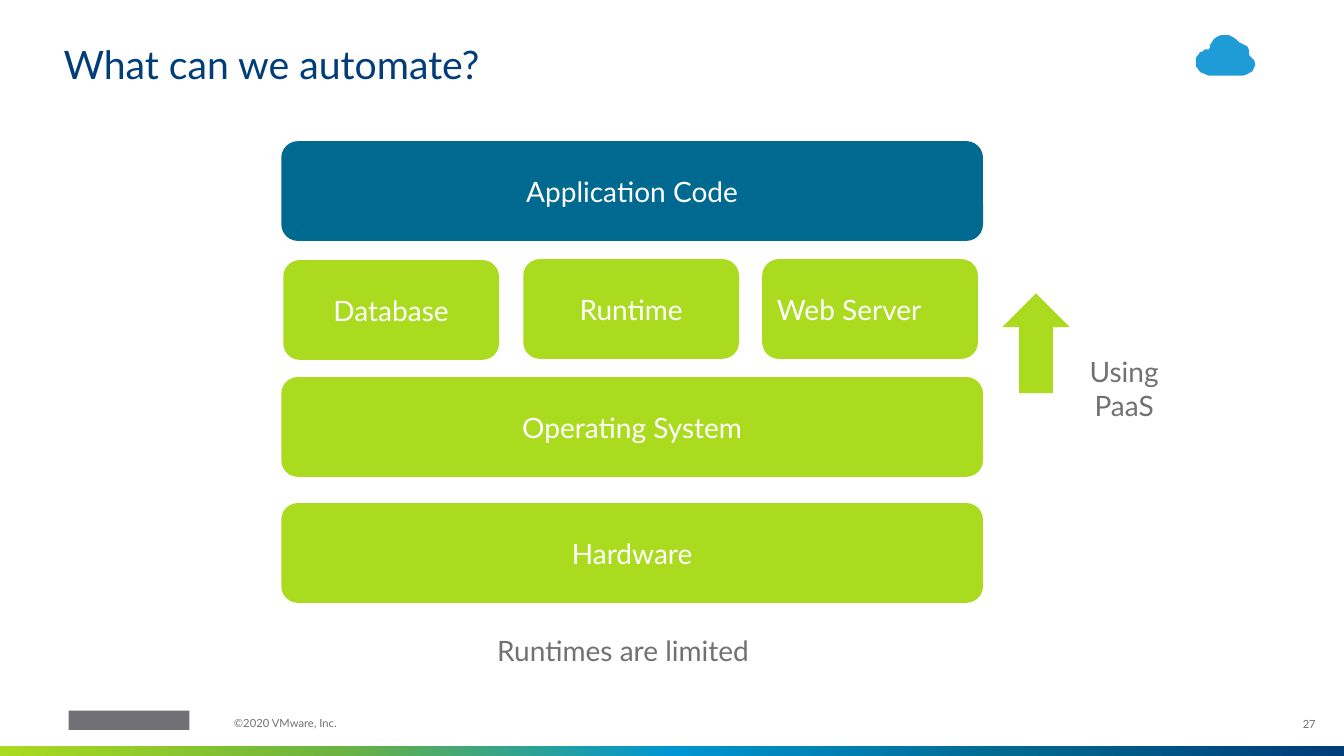
from dataclasses import dataclass

from lxml import etree
from pptx import Presentation
from pptx.dml.color import RGBColor
from pptx.enum.shapes import MSO_SHAPE as Shape
from pptx.enum.text import MSO_ANCHOR as Anchor, PP_ALIGN as Align
from pptx.oxml.ns import qn
from pptx.util import Inches, Pt

NAVY = RGBColor(0x00, 0x3D, 0x79)
TEAL = RGBColor(0x00, 0x69, 0x90)
BLUE = RGBColor(0x00, 0x95, 0xD3)
SKY = RGBColor(0x1F, 0x9B, 0xD8)
GREEN = RGBColor(0x6D, 0xB3, 0x3F)
LIME = RGBColor(0xAA, 0xDB, 0x1E)
GRAY = RGBColor(0x71, 0x70, 0x74)
WHITE = RGBColor(0xFF, 0xFF, 0xFF)
FONT = "Lato"
HIGH = 0.99  # height of every block and of the arrow


@dataclass
class Block:
    text: str
    left: float
    top: float
    width: float
    color: RGBColor = LIME
    align: Align = Align.CENTER


@dataclass
class Label:
    text: str
    left: float
    top: float
    width: float
    height: float
    size: int = 20
    align: Align = Align.CENTER
    anchor: Anchor = Anchor.TOP
    pad: tuple[float, float] = (0.1, 0.05)
    space: float = 1.0


def write(shape, text: str, size: int, color: RGBColor, align: Align,
          anchor: Anchor, pad: tuple[float, float], space: float = 1.0) -> None:
    frame = shape.text_frame
    frame.text = text
    frame.word_wrap = True
    frame.vertical_anchor = anchor
    frame.margin_left = frame.margin_right = Inches(pad[0])
    frame.margin_top = frame.margin_bottom = Inches(pad[1])
    para = frame.paragraphs[0]
    para.alignment = align
    para.line_spacing = space
    font = para.runs[0].font
    font.name, font.size, font.color.rgb = FONT, Pt(size), color


def paint(shape, color: RGBColor) -> None:
    shape.shadow.inherit = False
    shape.fill.solid()
    shape.fill.fore_color.rgb = color
    shape.line.fill.background()


def add_form(shapes, kind: Shape, left: float, top: float, width: float,
             height: float, color: RGBColor):
    form = shapes.add_shape(kind, Inches(left), Inches(top),
                            Inches(width), Inches(height))
    paint(form, color)
    return form


def add_block(shapes, block: Block) -> None:
    form = add_form(shapes, Shape.ROUNDED_RECTANGLE, block.left, block.top,
                    block.width, HIGH, block.color)
    form.adjustments[0] = 0.167
    write(form, block.text, 20, WHITE, block.align, Anchor.MIDDLE, (0.1, 0.1))


def add_label(shapes, label: Label) -> None:
    box = shapes.add_textbox(Inches(label.left), Inches(label.top),
                             Inches(label.width), Inches(label.height))
    write(box, label.text, label.size, GRAY, label.align, label.anchor,
          label.pad, label.space)


def blend(shape, colors: list[RGBColor]) -> None:
    """Fill the shape with evenly spaced colours from left to right."""
    shape.fill.gradient()
    shape.fill.gradient_angle = 0
    stops = shape._element.spPr.find(qn("a:gradFill")).find(qn("a:gsLst"))
    for stop in list(stops):
        stops.remove(stop)
    for i, color in enumerate(colors):
        pos = i * 100000 // (len(colors) - 1)
        stop = etree.SubElement(stops, qn("a:gs"), pos=str(pos))
        etree.SubElement(stop, qn("a:srgbClr"), val=str(color))


ROW = 2.57
BLOCKS = [
    Block("Application Code", 2.79, 1.4, 6.96, TEAL),
    Block("Database", 2.81, ROW + 0.01, 2.14),
    Block("Runtime", 5.19, ROW, 2.14),
    Block("Web Server", 7.56, ROW, 2.14, align=Align.LEFT),
    Block("Operating System", 2.79, 3.74, 6.96),
    Block("Hardware", 2.79, 4.99, 6.96),
]
LABELS = [
    Label("27", 12.57, 6.99, 0.48, 0.4, 8, Align.RIGHT, Anchor.MIDDLE,
          (0, 0), 0.9),
    Label("©2020 VMware, Inc.", 2.32, 7.12, 2.15, 0.16, 8, Align.LEFT,
          pad=(0, 0), space=0.9),
    Label("Runtimes are limited", 1.12, 6.24, 10.12, 0.67),
    Label("Using PaaS", 10.38, 3.47, 1.54, HIGH),
]
# Cloud outline in hundredths of an inch
CLOUD = [
    (1239, 55), (1239, 50), (1238, 48), (1237, 46), (1235, 45), (1233, 44),
    (1231, 43), (1229, 42), (1228, 41), (1226, 39), (1223, 37), (1219, 35),
    (1214, 35), (1211, 35), (1208, 36), (1205, 38), (1203, 40), (1202, 42),
    (1200, 45), (1200, 47), (1199, 49), (1195, 49), (1193, 51), (1190, 52),
    (1189, 54), (1187, 56), (1186, 58), (1186, 61), (1186, 66), (1188, 68),
    (1189, 70), (1191, 72), (1194, 73), (1196, 74), (1199, 75), (1233, 75),
    (1236, 74), (1238, 73), (1240, 72), (1242, 71), (1243, 69), (1244, 67),
    (1245, 64), (1244, 60), (1242, 58), (1240, 56),
]


def main() -> None:
    deck = Presentation()
    deck.slide_width, deck.slide_height = Inches(13.33), Inches(7.5)
    slide = deck.slides.add_slide(deck.slide_layouts[5])
    shapes = slide.shapes

    # Title
    title = shapes.title
    title.left, title.top = Inches(0.63), Inches(0.45)
    title.width, title.height = Inches(12.03), Inches(0.42)
    write(title, "What can we automate?", 28, NAVY, Align.LEFT,
          Anchor.BOTTOM, (0, 0), 0.9)

    # Footer band and plain mark
    band = add_form(shapes, Shape.RECTANGLE, 0, 7.4, 13.33, 0.1, LIME)
    blend(band, [LIME, GREEN, BLUE, TEAL, NAVY])
    add_form(shapes, Shape.RECTANGLE, 0.68, 7.05, 1.2, 0.19, GRAY)

    # Stack, arrow and labels
    for block in BLOCKS:
        add_block(shapes, block)
    add_form(shapes, Shape.UP_ARROW, 9.94, 2.91, 0.67, HIGH, LIME)
    for label in LABELS:
        add_label(shapes, label)

    # Cloud
    pen = shapes.build_freeform(*CLOUD[0], scale=Inches(0.01))
    pen.add_line_segments(CLOUD[1:], close=True)
    paint(pen.convert_to_shape(), SKY)

    deck.save("out.pptx")


if __name__ == "__main__":
    main()
